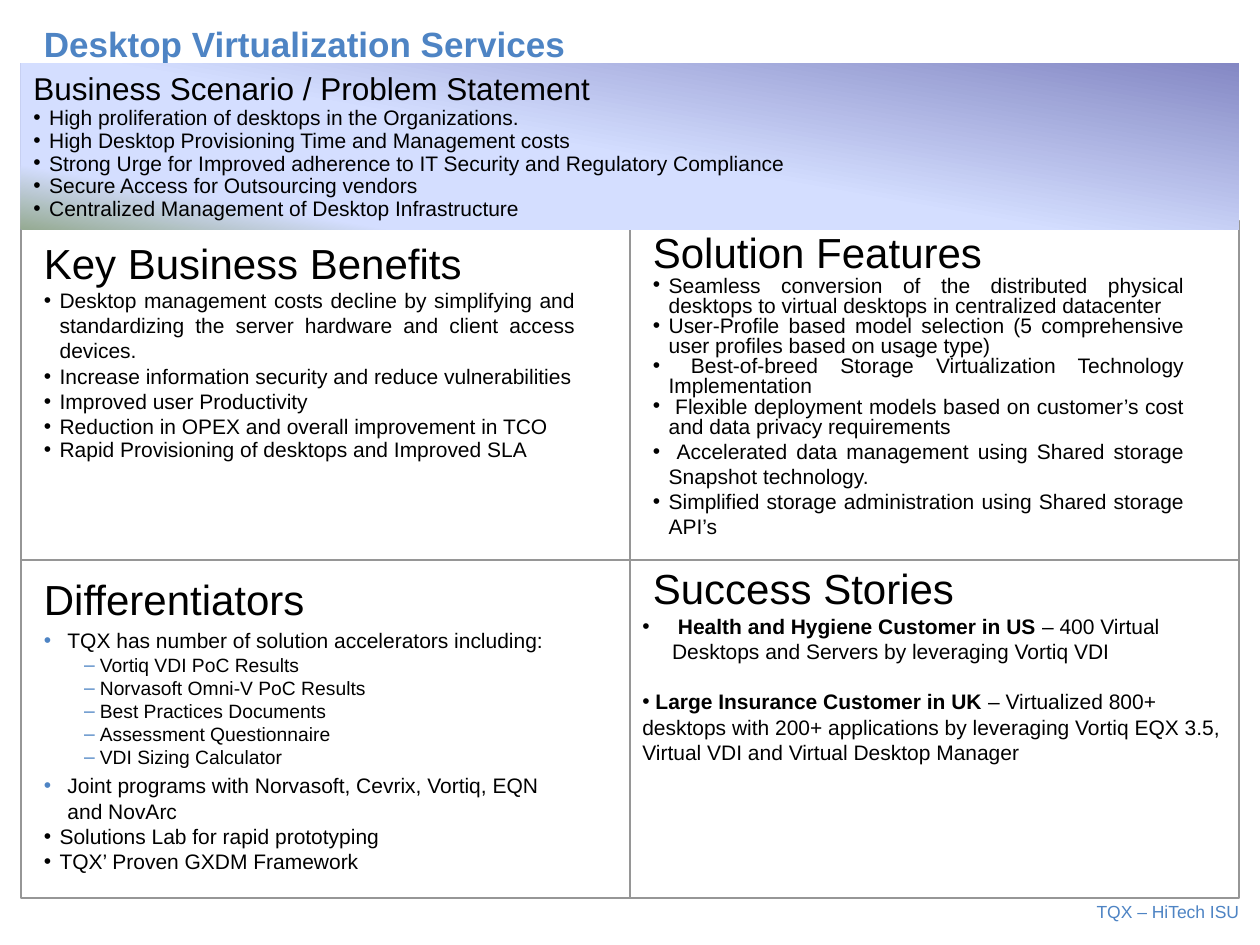
from lxml.etree import SubElement as Sub
from pptx import Presentation
from pptx.dml.color import RGBColor as RGB
from pptx.enum.shapes import MSO_CONNECTOR as CON, MSO_SHAPE as SHAPE
from pptx.enum.text import MSO_ANCHOR as ANCHOR, PP_ALIGN as ALIGN
from pptx.oxml.ns import qn
from pptx.util import Pt

HUES = {"blue": "4E84C4", "grey": "969696", "ink": "000000",
        "deep": "8488C4", "pale": "D4DEFF", "moss": "96AB94"}
FADE = [(0, "deep"), (53, "pale"), (83, "pale"), (100, "moss")]
LEFT, MID, RIGHT = 12, 360, 708
TOP, CROSS, BASE = 126, 320, 513
COL_A, COL_B, COL_W = 18, 366, 318

# Paragraph styles
HEAD = dict(size=24, left=13.5, hang=13.5, lead=20)
BAND = dict(HEAD, size=18)
ITEM = dict(left=9, hang=9, mark="•", align=ALIGN.JUSTIFY)
TIGHT = dict(ITEM, space=0.8)
FIXED = dict(left=9, hang=9, mark="•", space=Pt(13))
POINT = dict(left=13.5, hang=13.5, mark="•", tint="blue", lead=20)
DASH = dict(size=11, left=32, hang=9, mark="–", tint="blue",
            align=ALIGN.JUSTIFY)
CASE = dict(left=17, hang=17, mark="•")
FLAT = dict(mark="•", before=14.4)

NEEDS = ["High proliferation of desktops in the Organizations.",
         "High Desktop Provisioning Time and Management costs",
         "Strong Urge for Improved adherence to IT Security and "
         "Regulatory Compliance",
         "Secure Access for Outsourcing vendors",
         "Centralized Management of Desktop Infrastructure"]
GAINS = ["Desktop management costs decline by simplifying and standardizing "
         "the server hardware and client access devices.",
         "Increase information security and reduce vulnerabilities",
         "Improved user Productivity",
         "Reduction in OPEX and overall improvement in TCO"]
TRAITS = ["Seamless conversion of the distributed physical desktops to "
          "virtual desktops in centralized datacenter",
          "User-Profile based model selection (5 comprehensive user profiles "
          "based on usage type)",
          " Best-of-breed Storage Virtualization Technology Implementation",
          " Flexible deployment models based on customer’s cost and data "
          "privacy requirements"]
MORE = [" Accelerated data management using Shared storage Snapshot "
        "technology.",
        "Simplified storage administration using Shared storage API’s"]
TOOLS = ["Vortiq VDI PoC Results", "Norvasoft Omni-V PoC Results",
         "Best Practices Documents", "Assessment Questionnaire",
         "VDI Sizing Calculator"]
ASSETS = ["Solutions Lab for rapid prototyping",
          "TQX’ Proven GXDM Framework"]


def rows(look, *texts):
    """Give each text the same paragraph style."""
    return [(look, [(text, False)]) for text in texts]


def add_para(para, runs, size=12, left=0, hang=0, lead=0, before=None,
             mark=None, tint="ink", hue="ink", space=None, align=ALIGN.LEFT):
    """Fill one paragraph with its runs, spacing and bullet."""
    para.alignment = align
    if space is not None:
        para.line_spacing = space
    if before is not None:
        para.space_before = Pt(before)
    props = para._p.get_or_add_pPr()
    props.set("marL", str(Pt(left)))
    props.set("indent", str(-Pt(hang)))
    if lead:
        gap = Sub(props, qn("a:spcBef"))
        Sub(gap, qn("a:spcPct")).set("val", str(lead * 1000))
    if mark:
        color = Sub(props, qn("a:buClr"))
        Sub(color, qn("a:srgbClr")).set("val", HUES[tint])
        Sub(props, qn("a:buFont")).set("typeface", "Arial")
        Sub(props, qn("a:buChar")).set("char", mark)
    for text, bold in runs:
        run = para.add_run()
        run.text = text
        font = run.font
        font.name, font.size, font.bold = "Arial", Pt(size), bold
        font.color.rgb = RGB.from_string(HUES[hue])


def fill_text(shape, paras, inset=None):
    """Write styled paragraphs into a shape, from its top."""
    frame = shape.text_frame
    frame.word_wrap = True
    frame.vertical_anchor = ANCHOR.TOP
    if inset is not None:
        frame.margin_left = frame.margin_right = Pt(inset)
        frame.margin_top = frame.margin_bottom = Pt(inset)
    for num, (look, runs) in enumerate(paras):
        para = frame.add_paragraph() if num else frame.paragraphs[0]
        add_para(para, runs, **look)


def add_text(slide, box, paras, inset=None):
    """Place a text box."""
    fill_text(slide.shapes.add_textbox(*map(Pt, box)), paras, inset)


def add_rect(slide, box):
    """Place a plain rectangle without fill or line."""
    rect = slide.shapes.add_shape(SHAPE.RECTANGLE, *map(Pt, box))
    rect.shadow.inherit = False
    rect.fill.background()
    rect.line.fill.background()
    return rect


def add_frame(slide, box):
    """Draw the outline around the four panels."""
    line = add_rect(slide, box).line
    line.color.rgb = RGB.from_string(HUES["grey"])
    line.width = Pt(1)


def add_band(slide, box, paras):
    """Draw the gradient band with its text."""
    band = add_rect(slide, box)
    band.fill.gradient()
    band.fill.gradient_angle = 260
    stops = band._element.spPr.find(qn("a:gradFill")).find(qn("a:gsLst"))
    for stop in list(stops):
        stops.remove(stop)
    for pos, hue in FADE:
        stop = Sub(stops, qn("a:gs"))
        stop.set("pos", str(pos * 1000))
        Sub(stop, qn("a:srgbClr")).set("val", HUES[hue])
    fill_text(band, paras)


def add_line(slide, *ends):
    """Draw a dividing line."""
    rule = slide.shapes.add_connector(CON.STRAIGHT, *map(Pt, ends))
    rule.line.color.rgb = RGB.from_string(HUES["grey"])
    rule.line.width = Pt(1.5)
    Sub(rule._element.spPr, qn("a:effectLst"))


def main():
    """Build the slide and save it."""
    deck = Presentation()
    deck.slide_width, deck.slide_height = Pt(720), Pt(540)
    slide = deck.slides.add_slide(deck.slide_layouts[6])

    foot = dict(size=10, hue="blue", align=ALIGN.RIGHT)
    add_text(slide, (401, 515, 307, 12), rows(foot, "TQX – HiTech ISU"), 0)
    add_frame(slide, (LEFT, TOP, RIGHT - LEFT, BASE - TOP))
    title = dict(size=20, hue="blue", space=1.15)
    add_text(slide, (COL_A, 6, 648, 33),
             [(title, [("Desktop Virtualization Services", True)])])

    add_text(slide, (COL_A, 324, COL_W, 195),
             rows(HEAD, "Differentiators")
             + rows(POINT, "TQX has number of solution accelerators "
                    "including:")
             + rows(DASH, *TOOLS)
             + rows(POINT, "Joint programs with Norvasoft, Cevrix, Vortiq, "
                    "EQN and NovArc")
             + rows(ITEM, *ASSETS))
    add_text(slide, (COL_A, 132, COL_W, 166),
             rows(HEAD, "Key Business Benefits")
             + rows(ITEM, *GAINS)
             + rows(FIXED, "Rapid Provisioning of desktops and Improved SLA"))
    add_text(slide, (COL_B, 318, COL_W, 37), rows(HEAD, "Success Stories"))
    add_text(slide, (COL_B, TOP, COL_W, 188),
             rows(HEAD, "Solution Features")
             + rows(TIGHT, *TRAITS) + rows(ITEM, *MORE))

    add_line(slide, MID, 131, MID, BASE)
    add_line(slide, LEFT, CROSS, RIGHT, CROSS)
    add_band(slide, (LEFT, 36, RIGHT - LEFT, 95),
             rows(BAND, "Business Scenario / Problem Statement")
             + rows(FIXED, *NEEDS))
    add_text(slide, (MID, 347, 352, 94), [
        (CASE, [(" Health and Hygiene Customer in US ", True),
                ("– 400 Virtual Desktops and Servers by leveraging "
                 "Vortiq VDI", False)]),
        (FLAT, [(" Large Insurance Customer in UK ", True),
                ("– Virtualized 800+ desktops with 200+ applications by "
                 "leveraging Vortiq EQX 3.5, Virtual VDI and Virtual Desktop "
                 "Manager", False)])])
    deck.save("out.pptx")


main()
